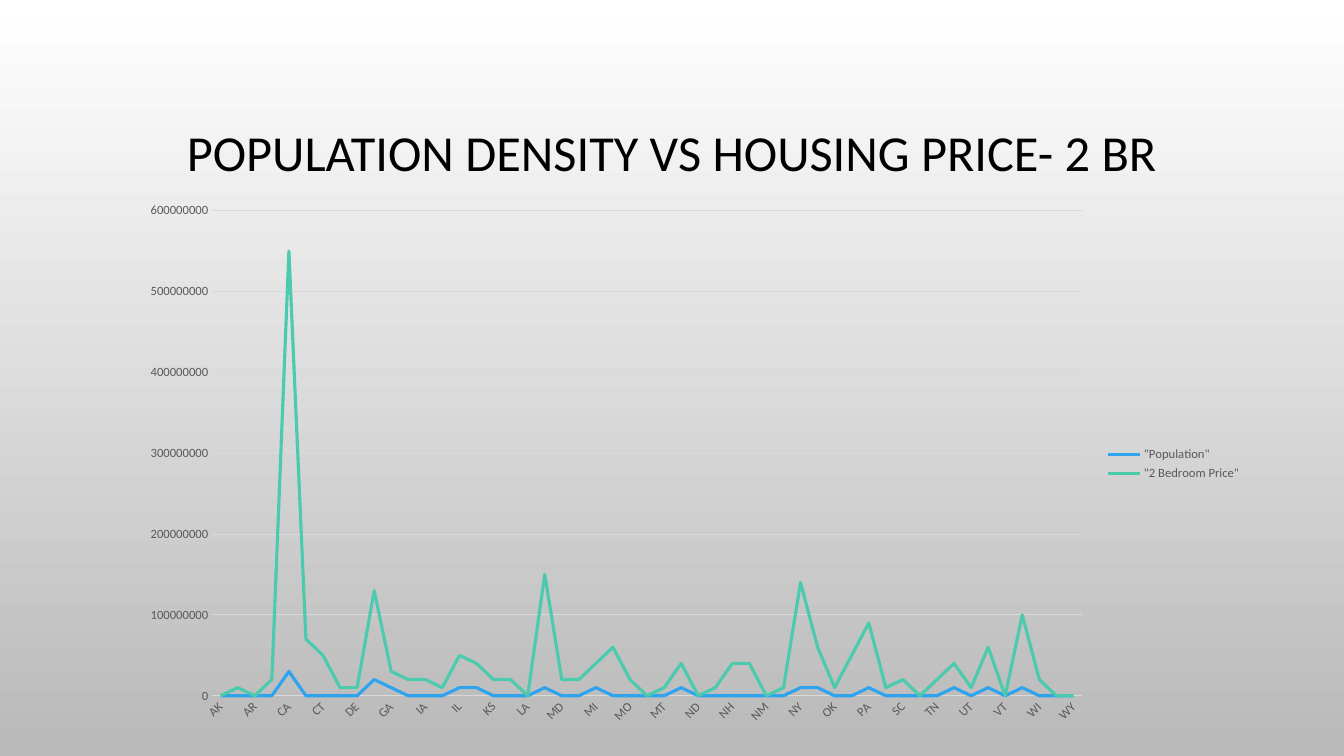
from lxml import etree
from pptx import Presentation
from pptx.chart.data import CategoryChartData
from pptx.dml.color import RGBColor
from pptx.enum import chart as kinds, text
from pptx.oxml import ns
from pptx.util import Pt

FONT = "Calibri"
TITLE = "POPULATION DENSITY VS HOUSING PRICE- 2 BR"
SERIES = [('"Population"', "2FA3EE"), ('"2 Bedroom Price"', "4BCAAD")]
GREY, PALE = "595959", "D9D9D9"
UNIT = 10_000_000
# State, then the two series in tens of millions
STATES = [
    ("AK", 0, 0), ("AL", 0, 1), ("AR", 0, 0), ("AZ", 0, 2), ("CA", 3, 55),
    ("CO", 0, 7), ("CT", 0, 5), ("DC", 0, 1), ("DE", 0, 1), ("FL", 2, 13),
    ("GA", 1, 3), ("HI", 0, 2), ("IA", 0, 2), ("ID", 0, 1), ("IL", 1, 5),
    ("IN", 1, 4), ("KS", 0, 2), ("KY", 0, 2), ("LA", 0, 0), ("MA", 1, 15),
    ("MD", 0, 2), ("ME", 0, 2), ("MI", 1, 4), ("MN", 0, 6), ("MO", 0, 2),
    ("MS", 0, 0), ("MT", 0, 1), ("NC", 1, 4), ("ND", 0, 0), ("NE", 0, 1),
    ("NH", 0, 4), ("NJ", 0, 4), ("NM", 0, 0), ("NV", 0, 1), ("NY", 1, 14),
    ("OH", 1, 6), ("OK", 0, 1), ("OR", 0, 5), ("PA", 1, 9), ("RI", 0, 1),
    ("SC", 0, 2), ("SD", 0, 0), ("TN", 0, 2), ("TX", 1, 4), ("UT", 0, 1),
    ("VA", 1, 6), ("VT", 0, 0), ("WA", 1, 10), ("WI", 0, 2), ("WV", 0, 0),
    ("WY", 0, 0),
]
# Plot area as shares of the chart
PLOT = {"x": 0.08, "y": 0.03, "w": 0.77, "h": 0.9}


def colour(code):
    return RGBColor.from_string(code)


def style_font(font, size, code):
    font.name, font.size = FONT, Pt(size)
    font.color.rgb = colour(code)


def style_line(line, width, code):
    line.width = Pt(width)
    line.color.rgb = colour(code)


def paint_background(page):
    fill = page.background.fill
    fill.gradient()
    fill.gradient_angle = 270
    for stop, code in zip(fill.gradient_stops, ("FFFFFF", "B9B9B9")):
        stop.color.rgb = colour(code)


def add_title(page):
    box = page.shapes.add_textbox(Pt(72), Pt(48), Pt(816), Pt(126))
    frame = box.text_frame
    frame.word_wrap = True
    frame.vertical_anchor = text.MSO_ANCHOR.MIDDLE
    para = frame.paragraphs[0]
    para.text = TITLE
    para.alignment = text.PP_ALIGN.CENTER
    para.line_spacing = 0.9
    style_font(para.font, 36, "000000")


def place_plot(chart):
    """Fix the inner plot area, without its axis labels."""
    area = chart._chartSpace.xpath("c:chart/c:plotArea")[0]
    for old in area.xpath("c:layout"):
        area.remove(old)
    layout = etree.Element(ns.qn("c:layout"))
    area.insert(0, layout)
    manual = etree.SubElement(layout, ns.qn("c:manualLayout"))
    settings = {"layoutTarget": "inner", "xMode": "edge", "yMode": "edge", **PLOT}
    for tag, value in settings.items():
        etree.SubElement(manual, ns.qn(f"c:{tag}")).set("val", str(value))


def add_state_chart(page):
    names, *columns = zip(*STATES)
    data = CategoryChartData()
    data.categories = names
    for (name, _), column in zip(SERIES, columns):
        data.add_series(name, [value * UNIT for value in column])
    chart = page.shapes.add_chart(kinds.XL_CHART_TYPE.LINE, Pt(87), Pt(139),
                                  Pt(807), Pt(385), data).chart
    style_font(chart.font, 10, "000000")
    chart.has_title = False
    chart.has_legend = True
    chart.legend.position = kinds.XL_LEGEND_POSITION.RIGHT
    chart.legend.include_in_layout = False
    style_font(chart.legend.font, 9, GREY)
    place_plot(chart)

    plot = chart.plots[0]
    plot.vary_by_categories = False
    for series, (_, code) in zip(plot.series, SERIES):
        series.smooth = False
        series.marker.style = kinds.XL_MARKER_STYLE.NONE
        style_line(series.format.line, 2.25, code)

    for axis in (chart.category_axis, chart.value_axis):
        axis.major_tick_mark = axis.minor_tick_mark = kinds.XL_TICK_MARK.NONE
        style_font(axis.tick_labels.font, 9, GREY)
    style_line(chart.category_axis.format.line, 0.75, PALE)
    chart.value_axis.minimum_scale = 0
    chart.value_axis.maximum_scale = 60 * UNIT
    chart.value_axis.format.line.fill.background()
    style_line(chart.value_axis.major_gridlines.format.line, 0.75, PALE)
    # Let the state labels slant when they are crowded
    for body in chart.category_axis._element.xpath("c:txPr/a:bodyPr"):
        body.set("rot", "-60000000")


def main():
    deck = Presentation()
    deck.slide_width, deck.slide_height = Pt(960), Pt(540)
    page = deck.slides.add_slide(deck.slide_layouts[6])
    paint_background(page)
    add_title(page)
    add_state_chart(page)
    deck.save("out.pptx")


if __name__ == "__main__":
    main()
